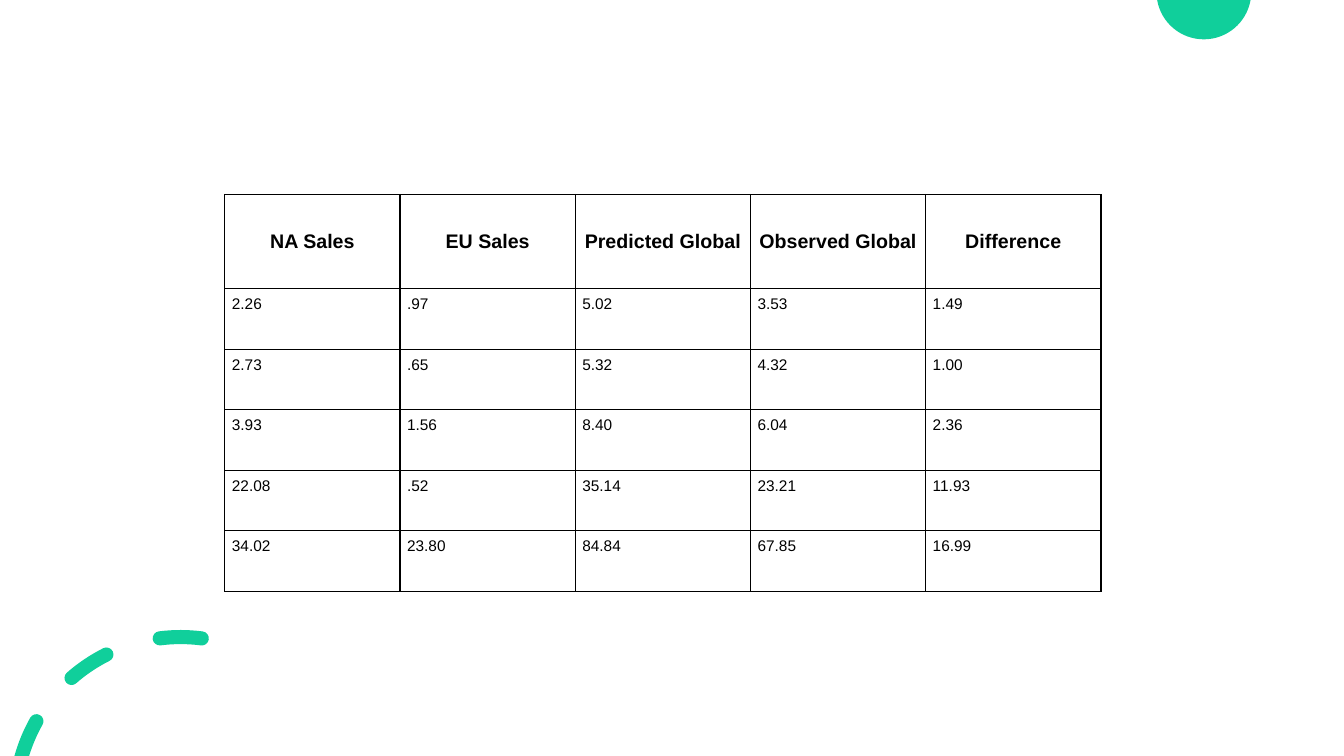
from dataclasses import dataclass
from math import asin, cos, degrees, radians, sin, tan

from lxml import etree
from pptx import Presentation
from pptx.dml.color import RGBColor
from pptx.enum.text import MSO_ANCHOR, PP_ALIGN
from pptx.oxml.ns import qn
from pptx.util import Inches, Pt

CENTER, LEFT = PP_ALIGN.CENTER, PP_ALIGN.LEFT
MIDDLE, TOP = MSO_ANCHOR.MIDDLE, MSO_ANCHOR.TOP

SLIDE_WIDTH, SLIDE_HEIGHT = 13.33, 7.5
TABLE_LEFT, TABLE_TOP, TABLE_WIDTH = 2.23, 1.93, 8.69
ROW_HEIGHT = 0.6
HEADER_HEIGHT = 1.56 * ROW_HEIGHT

HEADERS = ["NA Sales", "EU Sales", "Predicted Global", "Observed Global", "Difference"]
SALES = [
    ["2.26", ".97", "5.02", "3.53", "1.49"],
    ["2.73", ".65", "5.32", "4.32", "1.00"],
    ["3.93", "1.56", "8.40", "6.04", "2.36"],
    ["22.08", ".52", "35.14", "23.21", "11.93"],
    ["34.02", "23.80", "84.84", "67.85", "16.99"],
]


@dataclass(frozen=True)
class Theme:
    accent: RGBColor = RGBColor(0x10, 0xCF, 0x9B)
    ink: RGBColor = RGBColor(0, 0, 0)
    font: str = "Arial"
    header_size: int = 14
    body_size: int = 11
    border_width: int = 1
    cell_margin: float = 0.07


THEME = Theme()


def point_on_circle(center, radius, angle):
    """Return the point at an angle in degrees, counterclockwise from the right."""
    return (
        center[0] + radius * cos(radians(angle)),
        center[1] - radius * sin(radians(angle)),
    )


def arc(center, radius, start, end):
    """Return the two handles and the end point of a curve along an arc."""
    handle = 4 / 3 * tan(radians(end - start) / 4)
    start_x, start_y = point_on_circle(center, radius, start)
    end_x, end_y = point_on_circle(center, radius, end)
    return [
        (start_x + handle * (start_y - center[1]), start_y - handle * (start_x - center[0])),
        (end_x - handle * (end_y - center[1]), end_y + handle * (end_x - center[0])),
        (end_x, end_y),
    ]


def round_cap(center, radius, start):
    return arc(center, radius, start, start + 90) + arc(center, radius, start + 90, start + 180)


def rounded_dash(center, radius, half_width, start, end):
    """Outline a round-capped stroke along an arc, cut flat where it meets the slide's bottom."""
    inner, outer = radius - half_width, radius + half_width
    end_cap = point_on_circle(center, radius, end)
    is_cut = end_cap[1] > SLIDE_HEIGHT
    inner_end = outer_end = end
    if is_cut:
        depth = center[1] - SLIDE_HEIGHT
        inner_end, outer_end = (180 - degrees(asin(depth / edge)) for edge in (inner, outer))
    outline = [point_on_circle(center, inner, inner_end)]
    outline += arc(center, inner, inner_end, start)
    outline += round_cap(point_on_circle(center, radius, start), half_width, start + 180)
    outline += arc(center, outer, start, outer_end)
    if not is_cut:
        outline += round_cap(end_cap, half_width, end)
    return outline


def turn_lines_into_curves(shape):
    """Merge each three line segments into one cubic curve."""
    lines = list(shape._element.iter(qn("a:lnTo")))
    for first, second, third in zip(lines[::3], lines[1::3], lines[2::3]):
        first.tag = qn("a:cubicBezTo")
        for line in (second, third):
            first.append(line[0])
            line.getparent().remove(line)


def add_curved_outlines(slide, outlines):
    """Draw closed curve outlines as one filled freeform."""
    contours = [[(Inches(x), Inches(y)) for x, y in outline] for outline in outlines]
    builder = slide.shapes.build_freeform(*contours[0][0])
    for index, contour in enumerate(contours):
        if index:
            builder.move_to(*contour[0])
        builder.add_line_segments(contour[1:], close=True)
    shape = builder.convert_to_shape()
    turn_lines_into_curves(shape)
    shape.shadow.inherit = False
    shape.fill.solid()
    shape.fill.fore_color.rgb = THEME.accent
    shape.line.fill.background()


def add_corner_disc(slide):
    center, radius = (11.94, -0.08), 0.47
    edge = degrees(asin(-center[1] / radius))
    left, bottom, right = 180 + edge, 270, 360 - edge
    outline = [point_on_circle(center, radius, left)]
    outline += arc(center, radius, left, bottom) + arc(center, radius, bottom, right)
    add_curved_outlines(slide, [outline])


def add_dashed_ring(slide):
    center, radius, half_width = (1.79, 7.96), 1.64, 0.07
    first, step, span = 82.6, 34, 14.6
    starts = [first + step * index for index in range(3)]
    add_curved_outlines(
        slide,
        [rounded_dash(center, radius, half_width, start, start + span) for start in starts],
    )


def set_borders(cell):
    properties = cell._tc.get_or_add_tcPr()
    for side in ("lnL", "lnR", "lnT", "lnB"):
        line = etree.SubElement(properties, qn(f"a:{side}"), w=str(Pt(THEME.border_width)))
        fill = etree.SubElement(line, qn("a:solidFill"))
        etree.SubElement(fill, qn("a:srgbClr"), val=str(THEME.ink))


def format_cell(cell, text, is_header):
    set_borders(cell)
    cell.fill.background()
    margin = Inches(THEME.cell_margin)
    cell.margin_left = cell.margin_right = cell.margin_top = cell.margin_bottom = margin
    cell.vertical_anchor = MIDDLE if is_header else TOP
    paragraph = cell.text_frame.paragraphs[0]
    paragraph.text = text
    paragraph.alignment = CENTER if is_header else LEFT
    font = paragraph.runs[0].font
    font.name = THEME.font
    font.size = Pt(THEME.header_size if is_header else THEME.body_size)
    font.bold = is_header
    font.color.rgb = THEME.ink


def add_sales_table(slide):
    rows = [HEADERS] + SALES
    frame = slide.shapes.add_table(
        len(rows), len(HEADERS), Inches(TABLE_LEFT), Inches(TABLE_TOP),
        Inches(TABLE_WIDTH), Inches(HEADER_HEIGHT + ROW_HEIGHT * len(SALES)),
    )
    table = frame.table
    table.horz_banding = False
    for row_index, texts in enumerate(rows):
        is_header = row_index == 0
        table.rows[row_index].height = Inches(HEADER_HEIGHT if is_header else ROW_HEIGHT)
        for column_index, text in enumerate(texts):
            format_cell(table.cell(row_index, column_index), text, is_header)


def main():
    presentation = Presentation()
    presentation.slide_width = Inches(SLIDE_WIDTH)
    presentation.slide_height = Inches(SLIDE_HEIGHT)
    slide = presentation.slides.add_slide(presentation.slide_layouts[6])
    add_corner_disc(slide)
    add_dashed_ring(slide)
    add_sales_table(slide)
    presentation.save("out.pptx")


if __name__ == "__main__":
    main()
